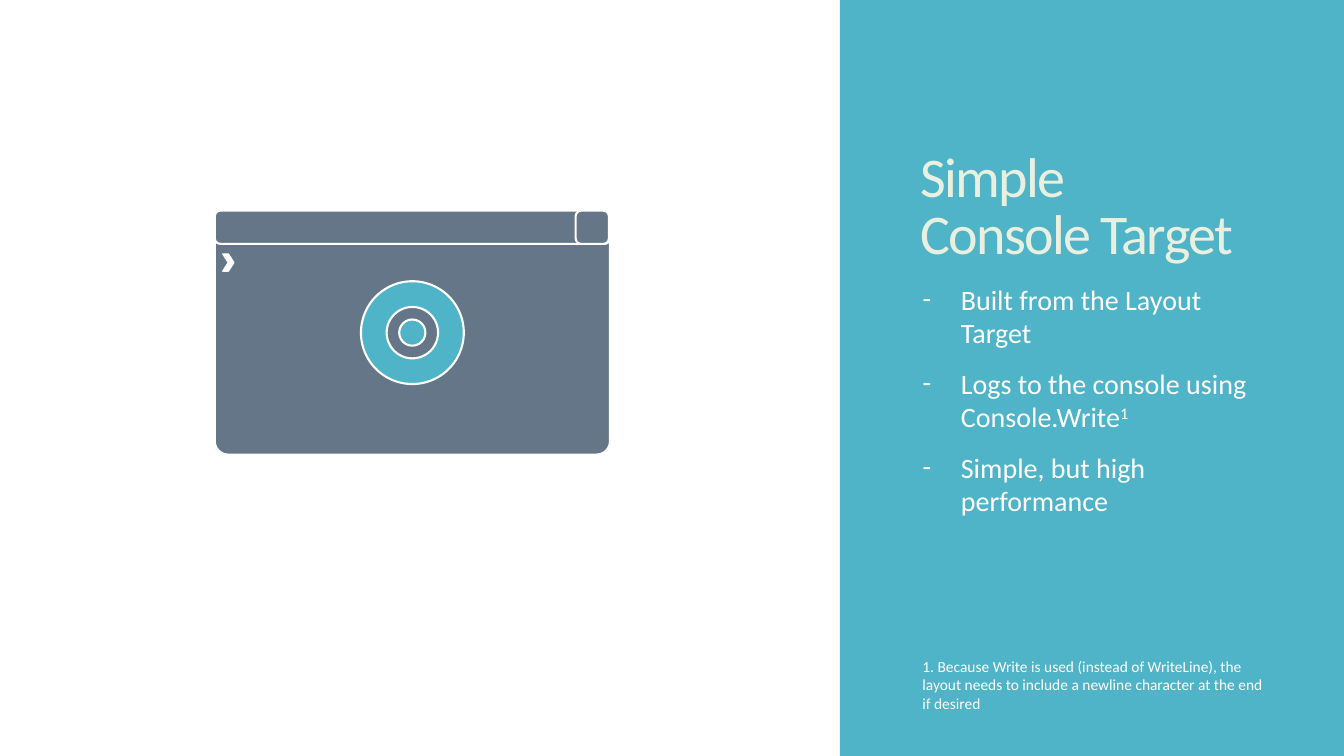
import dataclasses

import lxml.etree
import pptx
import pptx.dml.color
import pptx.enum.shapes
import pptx.enum.text
import pptx.oxml.ns
import pptx.util

PX = 9144  # EMU, 100 px to the inch
TEAL, SLATE, WHITE, CREAM = "50B4C8", "657689", "FFFFFF", "EAF0E0"
KIND = pptx.enum.shapes.MSO_SHAPE
ANCHOR = pptx.enum.text.MSO_ANCHOR
Box = tuple[int, int, int, int]


@dataclasses.dataclass(frozen=True)
class Part:
    kind: KIND
    box: Box
    fill: str
    line: float = 1.5
    adj: float | None = None


def ring_box(radius: int) -> Box:
    """Box of a circle around the centre of the target."""
    return 409 - radius, 330 - radius, 2 * radius, 2 * radius


CONSOLE = [
    Part(KIND.ROUNDED_RECTANGLE, (213, 209, 392, 242), SLATE, adj=0.055),
    Part(KIND.ROUNDED_RECTANGLE, (213, 209, 392, 33), SLATE),
    Part(KIND.ROUNDED_RECTANGLE, (571, 209, 33, 33), SLATE),
    Part(KIND.CHEVRON, (221, 252, 11, 17), WHITE, line=1),
    Part(KIND.DONUT, ring_box(51), TEAL, adj=0.25),
    Part(KIND.OVAL, ring_box(13), TEAL),
]
BULLETS = [
    [("Built from the Layout Target", False)],
    [("Logs to the console using Console.Write", False), ("1", True)],
    [("Simple, but high performance", False)],
]
FOOTNOTE = ("1. Because Write is used (instead of WriteLine), the layout needs "
            "to include a newline character at the end if desired")


def rgb(colour: str) -> pptx.dml.color.RGBColor:
    return pptx.dml.color.RGBColor.from_string(colour)


def emu(box: Box) -> list[int]:
    return [v * PX for v in box]


def place(sp, box: Box) -> None:
    for name, value in zip(("left", "top", "width", "height"), emu(box)):
        setattr(sp, name, value)


def draw(shapes, part: Part):
    sp = shapes.add_shape(part.kind, *emu(part.box))
    sp.shadow.inherit = False
    sp.fill.solid()
    sp.fill.fore_color.rgb = rgb(part.fill)
    if part.line:
        sp.line.color.rgb = rgb(WHITE)
        sp.line.width = pptx.util.Pt(part.line)
    else:
        sp.line.fill.background()
    if part.adj is not None:
        sp.adjustments[0] = part.adj
    return sp


def set_frame(tf, anchor: ANCHOR) -> None:
    frame = {"word_wrap": True, "vertical_anchor": anchor,
             "auto_size": pptx.enum.text.MSO_AUTO_SIZE.NONE}
    for name, value in frame.items():
        setattr(tf, name, value)


def set_paragraph(p, before: int = 0, spacing: float = 1.0) -> None:
    layout = {"alignment": pptx.enum.text.PP_ALIGN.LEFT, "line_spacing": spacing,
              "space_before": pptx.util.Pt(before), "space_after": pptx.util.Pt(0)}
    for name, value in layout.items():
        setattr(p, name, value)


def set_font(font, size: int, colour: str) -> None:
    for name, value in {"name": "Calibri", "size": pptx.util.Pt(size)}.items():
        setattr(font, name, value)
    font.color.rgb = rgb(colour)


def add_dash(p, indent: int) -> None:
    pPr = p._p.get_or_add_pPr()
    pPr.set("marL", str(indent * PX))
    pPr.set("indent", str(-indent * PX))
    for tag, name, value in (("a:buFont", "typeface", "Calibri"), ("a:buChar", "char", "-")):
        lxml.etree.SubElement(pPr, pptx.oxml.ns.qn(tag)).set(name, value)


def add_title(s) -> None:
    sp = s.shapes.title
    place(sp, (903, 59, 370, 210))
    tf = sp.text_frame
    set_frame(tf, ANCHOR.BOTTOM)
    tf.text = "Simple\vConsole Target"
    p = tf.paragraphs[0]
    set_paragraph(p, spacing=0.85)
    for r in p.runs:
        set_font(r.font, 40, CREAM)
        r._r.get_or_add_rPr().set("spc", "-120")


def add_bullets(s) -> None:
    sp = s.placeholders[1]
    place(sp, (905, 275, 372, 342))
    tf = sp.text_frame
    set_frame(tf, ANCHOR.TOP)
    for i, runs in enumerate(BULLETS):
        p = tf.add_paragraph() if i else tf.paragraphs[0]
        set_paragraph(p, before=12 if i else 0)
        add_dash(p, 38)
        for text, raised in runs:
            r = p.add_run()
            r.text = text
            set_font(r.font, 20, WHITE)
            if raised:
                r._r.get_or_add_rPr().set("baseline", "30000")


def add_footnote(s) -> None:
    tf = s.shapes.add_textbox(*emu((905, 647, 368, 84))).text_frame
    set_frame(tf, ANCHOR.TOP)
    p = tf.paragraphs[0]
    set_paragraph(p)
    r = p.add_run()
    r.text = FOOTNOTE
    set_font(r.font, 11, WHITE)


def main() -> None:
    prs = pptx.Presentation()
    prs.slide_width, prs.slide_height = 1333 * PX, 750 * PX
    s = prs.slides.add_slide(prs.slide_layouts[1])
    panel = draw(s.shapes, Part(KIND.RECTANGLE, (833, 0, 500, 750), TEAL, line=0))
    s.shapes.title._element.addprevious(panel._element)
    add_title(s)
    add_bullets(s)
    add_footnote(s)
    console = s.shapes.add_group_shape()
    for part in CONSOLE:
        draw(console.shapes, part)
    prs.save("out.pptx")


if __name__ == "__main__":
    main()
